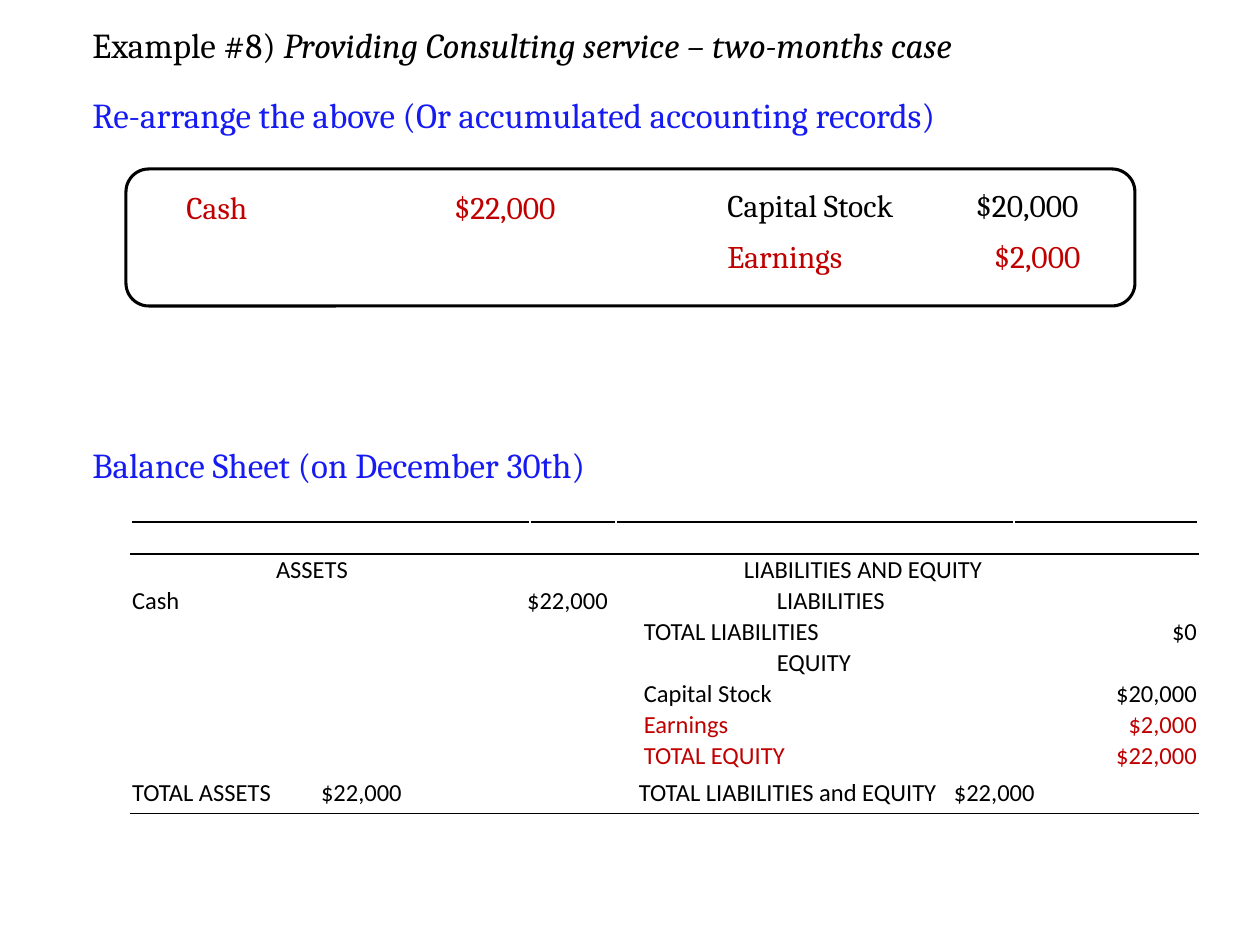
from lxml import etree
from pptx import Presentation
from pptx import util as u
from pptx.dml.color import RGBColor
from pptx.enum import shapes, text
from pptx.oxml.ns import qn

BLACK = RGBColor(0x00, 0x00, 0x00)
WHITE = RGBColor(0xFF, 0xFF, 0xFF)
BLUE = RGBColor(0x16, 0x1B, 0xF2)
RED = RGBColor(0xC0, 0x00, 0x00)
EMU_PER_PX = 914400 / 126
RIGHT = text.PP_ALIGN.RIGHT


def px(length):
    return u.Emu(round(length * EMU_PER_PX))


def write(para, words, font="Cambria", size=20, color=BLACK, italic=False, tab=None):
    if tab:
        stops = etree.SubElement(para._p.get_or_add_pPr(), qn("a:tabLst"))
        etree.SubElement(stops, qn("a:tab"), pos=str(px(tab)), algn="r")
    span = para.add_run()
    span.text = words
    span.font.name = font
    span.font.size = u.Pt(size)
    span.font.color.rgb = color
    span.font.italic = italic


class Sheet:
    """Draws the ledger elements on one slide in a shared style."""

    def __init__(self, slide):
        self.slide = slide
        self.table_font = "Calibri"
        self.table_size = 14

    def frame(self, left, top, width, height):
        box = self.slide.shapes.add_shape(
            shapes.MSO_SHAPE.ROUNDED_RECTANGLE, px(left), px(top), px(width), px(height))
        box.shadow.inherit = False
        box.fill.background()
        box.line.color.rgb = BLACK
        box.line.width = u.Pt(1.75)

    def text_box(self, left, top, width, height):
        box = self.slide.shapes.add_textbox(px(left), px(top), px(width), px(height))
        box.text_frame.word_wrap = True
        return box.text_frame

    def headings(self, left, top, width, height, lines):
        frame = self.text_box(left, top, width, height)
        for number, (before, spans) in enumerate(lines):
            para = frame.add_paragraph() if number else frame.paragraphs[0]
            para.space_before = u.Pt(before)
            para.space_after = u.Pt(6)
            for words, style in spans:
                write(para, words, **style)

    def entry(self, left, top, width, label, amount, tab, color):
        para = self.text_box(left, top, width, 48).paragraphs[0]
        para.line_spacing = u.Pt(20)
        para.space_after = u.Pt(6)
        write(para, f"{label}\t{amount}", size=18, color=color, tab=tab)

    def border(self, cell, colors):
        properties = cell._tc.get_or_add_tcPr()
        for side, color in zip("LRTB", colors):
            line = etree.SubElement(properties, qn(f"a:ln{side}"), w=str(u.Pt(1)))
            fill = etree.SubElement(line, qn("a:solidFill"))
            etree.SubElement(fill, qn("a:srgbClr"), val=str(color))

    def table(self, left, top, columns, rows, merges, ruled, entries):
        table = self.slide.shapes.add_table(
            len(rows), len(columns), px(left), px(top), px(sum(columns)), px(sum(rows))).table
        table.first_row = table.horz_banding = False
        for column, width in zip(table.columns, columns):
            column.width = px(width)
        for number, (row, height) in enumerate(zip(table.rows, rows)):
            row.height = px(height)
            edges = [BLACK if edge in ruled else WHITE for edge in (number, number + 1)]
            for cell in row.cells:
                cell.margin_left = cell.margin_right = cell.margin_top = px(1)
                cell.margin_bottom = 0
                cell.vertical_anchor = text.MSO_ANCHOR.MIDDLE
                self.border(cell, [WHITE, WHITE, *edges])
                cell.fill.background()
                etree.SubElement(cell.text_frame.paragraphs[0]._p, qn("a:endParaRPr"),
                                 sz=str(self.table_size * 100))
        for row, first, last in merges:
            table.cell(row, first).merge(table.cell(row, last))
        for row, column, words, layout in entries:
            cell = table.cell(row, column)
            cell.margin_left = px(layout.get("margin", 1))
            cell.margin_right = px(layout.get("inset", 1))
            para = cell.text_frame.paragraphs[0]
            para.alignment = layout.get("align")
            properties = para._p.get_or_add_pPr()
            properties.set("marL", str(px(layout.get("indent", 0))))
            properties.set("indent", "0")
            write(para, words, font=self.table_font, size=self.table_size,
                  color=layout.get("color", BLACK), tab=layout.get("tab"))


def main():
    deck = Presentation()
    deck.slide_width, deck.slide_height = px(1260), px(945)
    page = Sheet(deck.slides.add_slide(deck.slide_layouts[6]))

    page.headings(80, 17, 1118, 600, [
        (0, [("Example #8) ", {}),
             ("Providing Consulting service – two-months case", {"italic": True})]),
        (10, [("Re-arrange the above (Or accumulated accounting records)", {"color": BLUE})]),
        (170, [("Balance Sheet (on December 30th)", {"color": BLUE})]),
    ])

    page.frame(126, 169, 1009, 137)
    page.entry(174, 185, 432, "Cash", "$22,000", 369, RED)
    page.entry(715, 183, 403, "Capital Stock", "$20,000", 351, BLACK)
    page.entry(715, 234, 403, "Earnings", "$2,000", 353, RED)

    merges = [(0, 0, 1), (1, 0, 2), (1, 3, 4), (4, 3, 4), (8, 0, 2), (8, 3, 4)]
    merges += [(row, 1, 2) for row in range(2, 6)] + [(row, 0, 1) for row in (6, 7)]
    entries = [
        (1, 0, "ASSETS", {"indent": 144}),
        (1, 3, "LIABILITIES AND EQUITY", {"indent": 127}),
        (2, 0, "Cash", {}),
        (2, 1, "$22,000", {"align": RIGHT, "inset": 8}),
        (2, 3, "LIABILITIES", {"indent": 160}),
        (4, 3, "EQUITY", {"indent": 160}),
        (8, 0, "TOTAL ASSETS\t$22,000", {"tab": 480}),
        (8, 3, "TOTAL LIABILITIES and EQUITY\t$22,000", {"margin": 23, "tab": 555}),
    ]
    for row, label, amount, color in [
        (3, "TOTAL LIABILITIES", "$0", BLACK),
        (5, "Capital Stock", "$20,000", BLACK),
        (6, "Earnings", "$2,000", RED),
        (7, "TOTAL EQUITY", "$22,000", RED),
    ]:
        entries.append((row, 3, label, {"indent": 27, "color": color}))
        entries.append((row, 4, amount, {"align": RIGHT, "color": color}))
    page.table(131, 522, [287, 112, 86, 398, 184], [32] + [31] * 7 + [43],
               merges, {0, 1, 9}, entries)

    deck.save("out.pptx")


if __name__ == "__main__":
    main()
